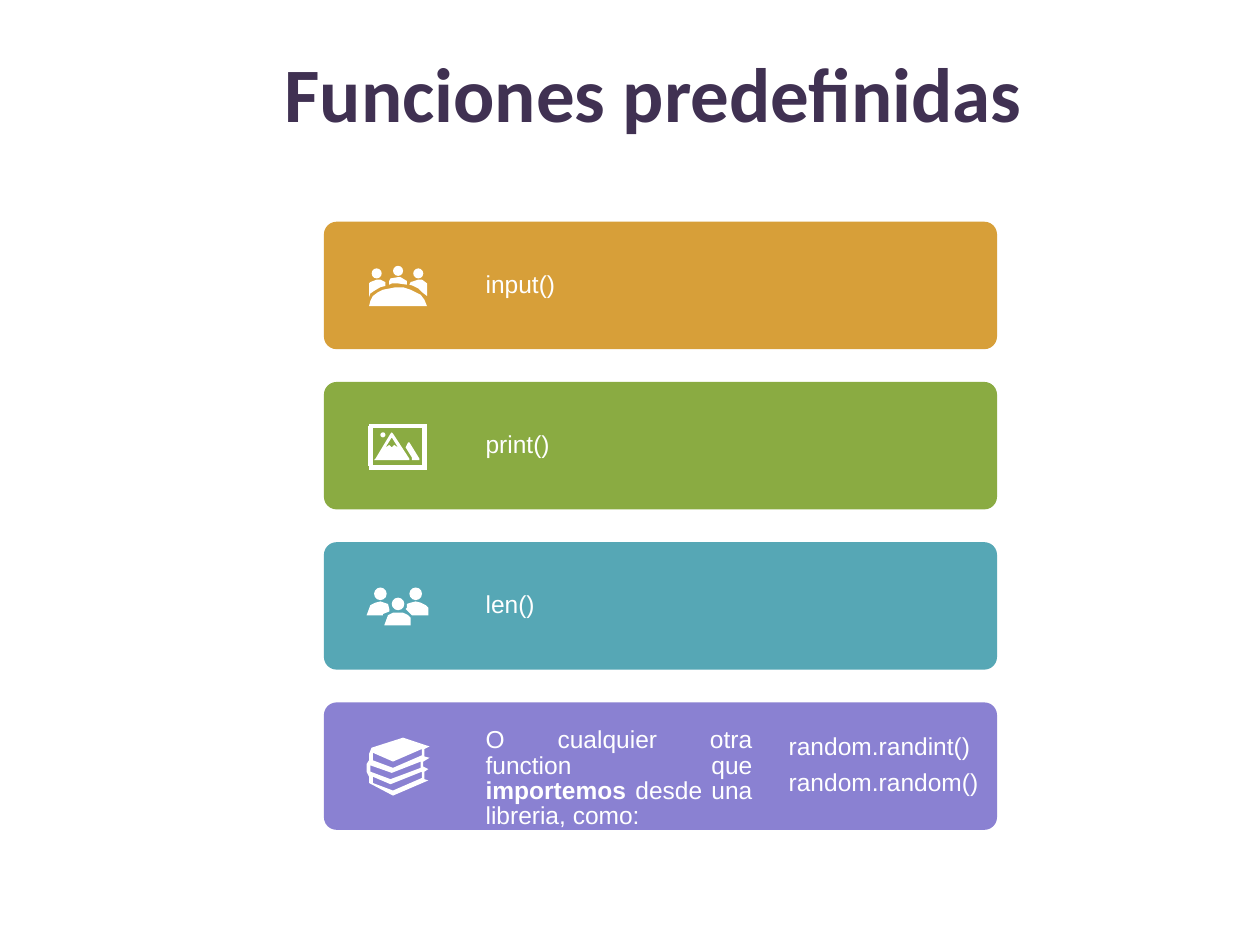
from dataclasses import dataclass

from pptx import Presentation
from pptx.dml.color import RGBColor
from pptx.enum.shapes import MSO_CONNECTOR, MSO_SHAPE
from pptx.enum.text import PP_ALIGN
from pptx.oxml.ns import qn
from pptx.util import Cm, Pt


@dataclass(frozen=True)
class Theme:
    title_color: str = "403152"
    light: str = "FFFFFF"
    bars: tuple = ("D79F39", "8AAB42", "56A7B5", "8A81D2")
    title_font: str = "Calibri"
    body_font: str = "Arial"
    title_size: float = 44
    body_size: float = 14
    frame_width: float = 2.6


BAR_LEFT, BAR_TOP, BAR_WIDTH, BAR_HEIGHT = 6.53, 4.47, 13.57, 2.57
BAR_PITCH = 3.23
ICON_LEFT = 7.39
ICON_UNIT = 0.0254  # cm per step of the icon drawing grid
LABEL_LEFT = 9.79

# Icons: dots are (x, y, diameter); outlines are lists of closed contours,
# where contours after the first cut holes; lines are (x1, y1, x2, y2).
MEETING = {
    "dots": [(21, 35, 8), (37, 37, 8), (4, 37, 8)],
    "outlines": [
        [[(23, 52), (18, 53), (13, 54), (9, 56), (5, 59), (3, 63), (2, 67),
          (48, 67), (46, 62), (43, 58), (39, 56), (35, 54), (29, 52)]],
        [[(8, 46), (3, 48), (2, 49), (2, 60), (3, 57), (6, 55), (11, 52),
          (15, 51), (15, 48), (11, 46)]],
        [[(25, 44), (19, 45), (18, 47), (18, 50), (20, 49), (25, 49),
          (32, 50), (32, 47), (27, 44)]],
        [[(41, 46), (35, 48), (34, 50), (37, 51), (41, 53), (44, 56),
          (48, 59), (48, 49), (44, 46)]],
    ],
}
LANDSCAPE = {
    "dots": [(11, 40, 4)],
    "outlines": [
        [[(34, 48), (33, 48), (31, 52), (36, 60), (36, 62), (42, 62), (42, 61)]],
        [[(20, 40), (19, 41), (7, 61), (6, 62), (34, 62), (34, 61), (21, 41)],
         [(20, 44), (25, 52), (22, 50), (20, 52), (18, 50), (15, 52)]],
    ],
    "lines": [(2, 35, 48, 35), (2, 68, 48, 68), (3, 35, 3, 67), (46, 35, 46, 67)],
}
GROUP = {
    "dots": [(6, 36, 10), (34, 36, 10), (20, 44, 10)],
    "outlines": [
        [[(25, 56), (21, 56), (17, 58), (14, 66), (35, 66), (35, 60),
          (33, 58), (29, 56)]],
        [[(39, 47), (35, 48), (32, 49), (32, 52), (31, 53), (33, 55),
          (36, 58), (49, 58), (49, 52), (47, 50), (43, 48)]],
        [[(11, 47), (7, 48), (3, 50), (0, 58), (13, 58), (13, 57), (18, 55),
          (18, 53), (17, 49), (14, 48)]],
    ],
}
BOOKS = {
    "outlines": [
        [[(29, 28), (4, 36), (2, 41), (2, 46), (0, 49), (0, 55), (2, 59),
          (2, 64), (21, 74), (49, 62), (46, 61), (46, 55), (49, 53), (45, 51),
          (45, 47), (50, 44), (46, 43), (46, 37), (50, 35)],
         [(5, 40), (21, 47), (44, 37), (44, 42), (21, 52), (5, 46)],
         [(3, 50), (20, 56), (43, 47), (43, 52), (19, 61), (3, 55)],
         [(5, 59), (19, 65), (44, 55), (44, 60), (21, 70), (5, 64)]],
    ],
}


class SlideBuilder:
    def __init__(self, slide, theme):
        self.slide = slide
        self.theme = theme

    def paint(self, shape, color):
        shape.shadow.inherit = False
        shape.fill.solid()
        shape.fill.fore_color.rgb = RGBColor.from_string(color)
        shape.line.fill.background()

    def bar(self, top, color):
        bar = self.slide.shapes.add_shape(
            MSO_SHAPE.ROUNDED_RECTANGLE, Cm(BAR_LEFT), Cm(top),
            Cm(BAR_WIDTH), Cm(BAR_HEIGHT))
        bar.adjustments[0] = 0.1
        self.paint(bar, color)

    def dot(self, left, top, diameter):
        dot = self.slide.shapes.add_shape(
            MSO_SHAPE.OVAL, Cm(left), Cm(top), Cm(diameter), Cm(diameter))
        self.paint(dot, self.theme.light)

    def outline(self, left, top, contours):
        """Draw one filled shape from contours given in icon grid steps."""
        builder = self.slide.shapes.build_freeform(
            *contours[0][0], scale=Cm(ICON_UNIT))
        builder.add_line_segments(contours[0][1:], close=True)
        for hole in contours[1:]:
            builder.move_to(*hole[0])
            builder.add_line_segments(hole[1:], close=True)
        self.paint(builder.convert_to_shape(Cm(left), Cm(top)), self.theme.light)

    def line(self, x1, y1, x2, y2):
        line = self.slide.shapes.add_connector(
            MSO_CONNECTOR.STRAIGHT, Cm(x1), Cm(y1), Cm(x2), Cm(y2))
        line.line.color.rgb = RGBColor.from_string(self.theme.light)
        line.line.width = Pt(self.theme.frame_width)
        properties = line.element.spPr
        properties.append(properties.makeelement(qn("a:effectLst"), {}))

    def icon(self, top, icon):
        def place(x, y):
            return ICON_LEFT + x * ICON_UNIT, top + y * ICON_UNIT

        for x, y, diameter in icon.get("dots", []):
            self.dot(*place(x, y), diameter * ICON_UNIT)
        for contours in icon["outlines"]:
            self.outline(ICON_LEFT, top, contours)
        for x1, y1, x2, y2 in icon.get("lines", []):
            self.line(*place(x1, y1), *place(x2, y2))

    def text(self, left, top, width, height, wording, font, size, color, bold=False):
        frame = self.slide.shapes.add_textbox(
            Cm(left), Cm(top), Cm(width), Cm(height)).text_frame
        frame.word_wrap = True
        frame.margin_left = frame.margin_right = Cm(0)
        frame.margin_top = frame.margin_bottom = Cm(0)
        frame.text = wording
        for paragraph in frame.paragraphs:
            for run in paragraph.runs:
                self.format_run(run, font, size, color, bold)
        return frame

    def format_run(self, run, font, size, color, bold=False):
        run.font.name = font
        run.font.size = Pt(size)
        run.font.bold = bold
        run.font.color.rgb = RGBColor.from_string(color)

    def title(self, wording):
        theme = self.theme
        self.text(5.74, 0.92, 15.31, 2.62, wording, theme.title_font,
                  theme.title_size, theme.title_color, bold=True)

    def label(self, left, top, width, height, wording):
        theme = self.theme
        return self.text(left, top, width, height, wording, theme.body_font,
                         theme.body_size, theme.light)

    def explanation(self, top, before, strong, after):
        """Add a justified sentence with a bold word inside."""
        theme = self.theme
        sentence = self.label(LABEL_LEFT, top, 5.38, 1.57, before).paragraphs[0]
        sentence.alignment = PP_ALIGN.JUSTIFY
        sentence.line_spacing = Pt(14.5)
        for wording, bold in ((strong, True), (after, False)):
            run = sentence.add_run()
            run.text = wording
            self.format_run(run, theme.body_font, theme.body_size, theme.light, bold)


def main():
    deck = Presentation()
    deck.slide_width, deck.slide_height = Cm(25.4), Cm(19.05)
    theme = Theme()
    builder = SlideBuilder(deck.slides.add_slide(deck.slide_layouts[6]), theme)

    builder.title("Funciones predefinidas")
    tops = [BAR_TOP + row * BAR_PITCH for row in range(len(theme.bars))]
    icons = (MEETING, LANDSCAPE, GROUP, BOOKS)
    for top, color, icon in zip(tops, theme.bars, icons):
        builder.bar(top, color)
        builder.icon(top, icon)
    for top, function in zip(tops, ("input()", "print()", "len()")):
        builder.label(LABEL_LEFT, top + 0.95, 1.5, 0.63, function)

    builder.explanation(tops[-1] + 0.52, "O cualquier otra function que ",
                        "importemos", " desde una libreria, como:")
    examples = builder.label(15.9, tops[-1] + 0.58, 3.9, 1.35,
                             "random.randint()\nrandom.random()")
    examples.paragraphs[1].space_before = Pt(3.4)
    deck.save("out.pptx")


if __name__ == "__main__":
    main()
